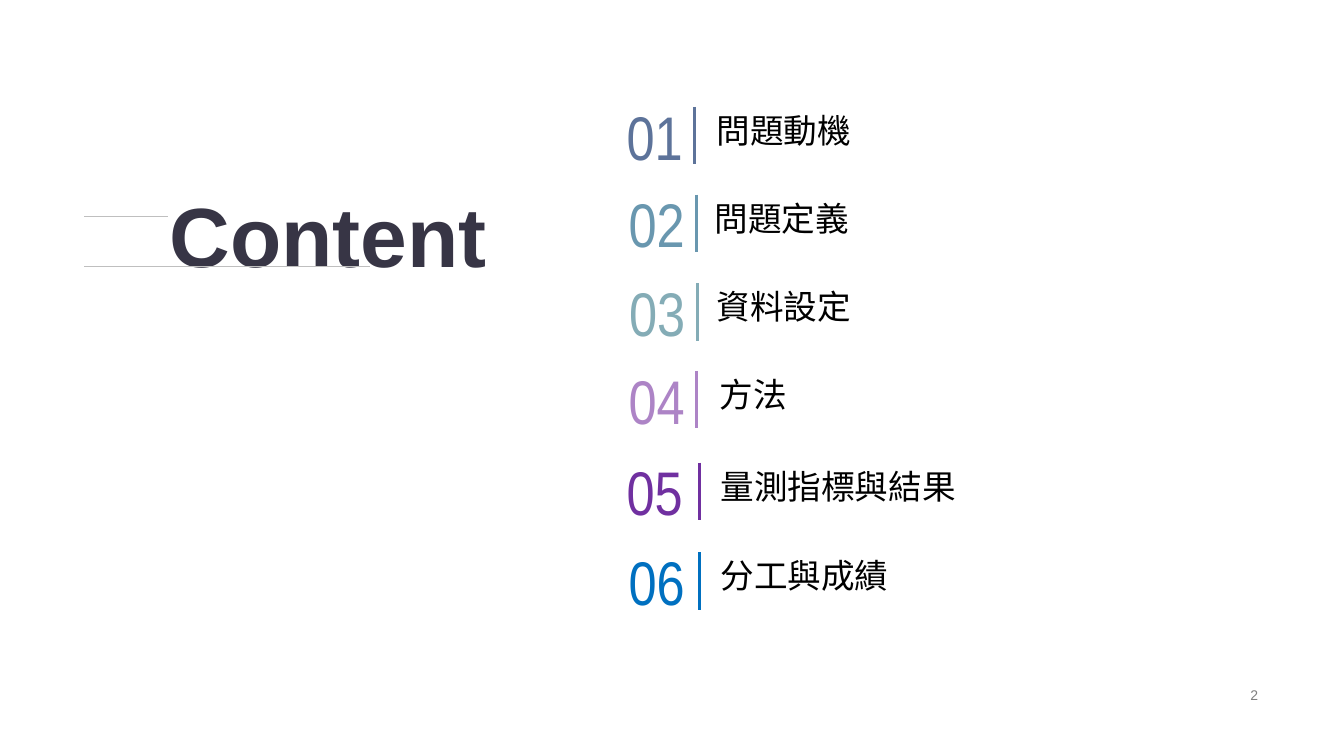
"""Build the six-item agenda slide with its title, numbers and rules."""
from dataclasses import dataclass

from lxml import etree
from pptx import Presentation
from pptx import util as u
from pptx.dml.color import RGBColor
from pptx.enum import shapes, text
from pptx.oxml.ns import qn

HEADING = "Content"
PAGE = "2"
AGENDA = [
    ("問題動機", "5D739A", 76.3, 467.6, 496.1, 504.7),
    ("問題定義", "6997AF", 139, 469.1, 497.5, 503.3),
    ("資料設定", "84ACB6", 202.3, 469.4, 498.2, 504.7),
    ("方法", "AD84C6", 265, 469.1, 497.5, 506.9),
    ("量測指標與結果", "7030A0", 330.5, 467.6, 499.7, 507.6),
    ("分工與成績", "0070C0", 394.6, 469.1, 499.7, 507.6),
]
HEADING_LINES = [(60.2, 120.2, 154.3), (60.2, 264.2, 190.5)]
HEADING_FRAME = (113.8, 141.1, 250, 51.8)
PAGE_FRAME = (678.2, 488.2, 227.5, 16.6)
RULE_HEIGHT, NUMBER_WIDTH = 41, 40
LABEL_DROP, LABEL_SIZE = 7, (284.4, 27.4)


@dataclass(frozen=True)
class Theme:
    """Type styles, colours and line weights."""
    heading: tuple = ("Arial", 60, "373545", True)
    number: tuple = ("Arial Narrow", 44)
    label: tuple = ("Noto Sans CJK SC", 24, "000000")
    page: tuple = ("Arial", 10, "808080")
    hairline: tuple = ("BFBFBF", 0.5)
    rule_weight: float = 2.25


THEME = Theme()
PADDED = (7.2, 3.6)
FLUSH = (0, 0)


def set_all(target, values):
    """Set each named attribute on the target."""
    for name, value in values.items():
        setattr(target, name, value)


def write(box, words, style, frame, inset=FLUSH, anchor="MIDDLE", align="LEFT", wrap=False):
    """Place a text shape and format its single paragraph."""
    face, size, colour, *bold = style
    set_all(box, dict(zip(("left", "top", "width", "height"), map(u.Pt, frame))))
    across, down = map(u.Pt, inset)
    set_all(box.text_frame, {
        "text": words, "word_wrap": wrap, "auto_size": text.MSO_AUTO_SIZE.NONE,
        "vertical_anchor": getattr(text.MSO_ANCHOR, anchor),
        "margin_left": across, "margin_right": across,
        "margin_top": down, "margin_bottom": down,
    })
    paragraph = box.text_frame.paragraphs[0]
    set_all(paragraph, {"alignment": getattr(text.PP_ALIGN, align), "line_spacing": 1.0})
    font = paragraph.runs[0].font
    set_all(font, {"name": face, "size": u.Pt(size), "bold": bool(bold)})
    font.color.rgb = RGBColor.from_string(colour)
    latin = paragraph.runs[0]._r.rPr.find(qn("a:latin"))
    east_asian = etree.Element(qn("a:ea"), typeface=face)
    latin.addnext(east_asian)


def add_text(slide, *args, **options):
    """Add a text box and write in it."""
    write(slide.shapes.add_textbox(0, 0, 0, 0), *args, **options)


def add_line(slide, start_x, start_y, end_x, end_y, colour, weight):
    """Draw a straight line without a shadow."""
    line = slide.shapes.add_connector(
        shapes.MSO_CONNECTOR.STRAIGHT, *map(u.Pt, (start_x, start_y, end_x, end_y)))
    line.line.color.rgb = RGBColor.from_string(colour)
    line.line.width = u.Pt(weight)
    etree.SubElement(line._element.spPr, qn("a:effectLst"))


deck = Presentation()
set_all(deck, {"slide_width": u.Pt(960), "slide_height": u.Pt(540)})
slide = deck.slides.add_slide(deck.slide_layouts[5])

for left, right, y in HEADING_LINES:
    add_line(slide, left, y, right, y, *THEME.hairline)
write(slide.shapes.title, HEADING, THEME.heading, HEADING_FRAME, inset=PADDED)

for position, (label, colour, top, number_centre, rule_x, label_left) in enumerate(AGENDA, 1):
    add_text(slide, f"{position:02}", (*THEME.number, colour),
             (number_centre - NUMBER_WIDTH / 2, top, NUMBER_WIDTH, RULE_HEIGHT), align="CENTER")
    add_line(slide, rule_x, top, rule_x, top + RULE_HEIGHT, colour, THEME.rule_weight)
    add_text(slide, label, THEME.label, (label_left, top + LABEL_DROP, *LABEL_SIZE),
             inset=PADDED, anchor="BOTTOM")

add_text(slide, PAGE, THEME.page, PAGE_FRAME, inset=PADDED, align="RIGHT", wrap=True)
deck.save("out.pptx")
